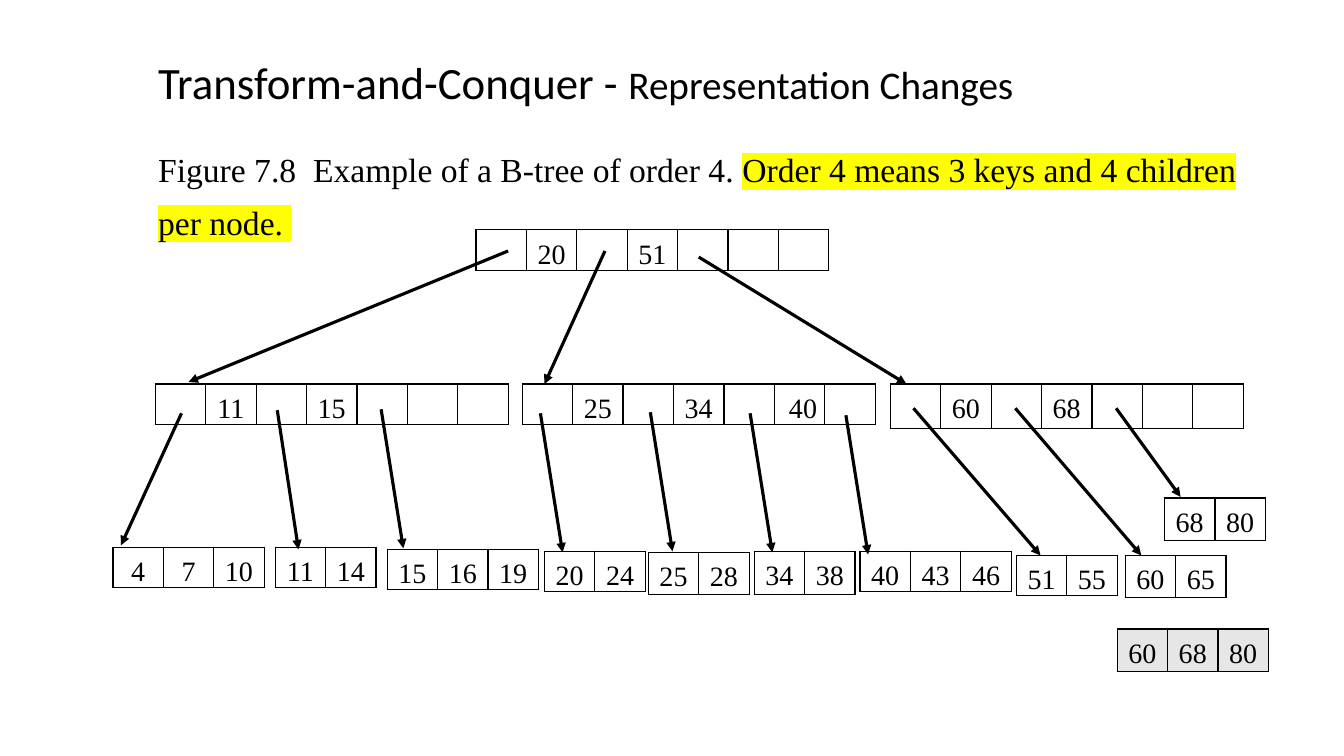
from lxml import etree
from pptx import Presentation, util as u
from pptx.dml.color import RGBColor
from pptx.enum import shapes, text
from pptx.oxml import ns

COLORS = {"ink": "000000", "paper": "FFFFFF", "grey": "E7E6E6", "mark": "FFFF00"}
COLS, ROWS = 26.66, 15

prs = Presentation()
prs.slide_width, prs.slide_height = u.Inches(13.33), u.Inches(7.5)
s = prs.slides.add_slide(prs.slide_layouts[6])
cw, rh = prs.slide_width / COLS, prs.slide_height / ROWS


def grid(x, y):
    return round(x * cw), round(y * rh)


def add_run(p, words, font, size, mark=None):
    r = p.add_run()
    r.text = words
    for name, value in {"name": font, "size": u.Pt(size), "bold": False}.items():
        setattr(r.font, name, value)
    r.font.color.rgb = RGBColor.from_string(COLORS["ink"])
    if mark:
        hl = etree.Element(ns.qn("a:highlight"))
        etree.SubElement(hl, ns.qn("a:srgbClr"), val=COLORS[mark])
        r.font._element.find(ns.qn("a:solidFill")).addnext(hl)


inner = [
    (9.44, 4.56, 0.78, ["20", "51", ""]),
    (3.08, 7.62, 0.78, ["11", "15", ""]),
    (10.36, 7.62, 0.78, ["25", "34", " 40"]),
    (17.66, 7.62, 0.88, ["60", "68", ""]),
]
leaves = [
    (2.24, 10.86, 0.78, ["4", "7", "10"]),
    (5.46, 10.86, 0.78, ["11", "14"]),
    (7.68, 10.9, 0.78, ["15", "16", "19"]),
    (10.8, 10.94, 0.78, ["20", "24"]),
    (12.86, 10.96, 0.84, ["25", "28"]),
    (14.96, 10.94, 0.86, ["34", "38"]),
    (17.06, 10.94, 0.78, ["40", "43", "46"]),
    (20.16, 11.02, 0.78, ["51", "55"]),
    (22.32, 11.02, 0.84, ["60", "65"]),
    (23.1, 9.88, 0.84, ["68", "80"]),
]
overflow = (22.16, 12.48, 0.84, ["60", "68", "80"])

nodes = [(x, y, h, [""] + [slot for key in keys for slot in (key, "")], "paper")
         for x, y, h, keys in inner]
nodes += [(*leaf, "paper") for leaf in leaves] + [(*overflow, "grey")]

cell_format = {"margin_left": u.Inches(0.07), "margin_right": u.Inches(0.07),
               "margin_top": 0, "margin_bottom": 0}

for x, y, h, slots, fill in nodes:
    tbl = s.shapes.add_table(1, len(slots), *grid(x, y), *grid(len(slots), h)).table
    tbl.first_row = tbl.horz_banding = False
    for cell, slot in zip(tbl.iter_cells(), slots):
        for name, value in cell_format.items():
            setattr(cell, name, value)
        tcPr = cell._tc.get_or_add_tcPr()
        for side in ("lnL", "lnR", "lnT", "lnB"):
            ln = etree.SubElement(tcPr, ns.qn(f"a:{side}"), w=str(u.Pt(1)))
            ink = etree.SubElement(ln, ns.qn("a:solidFill"))
            etree.SubElement(ink, ns.qn("a:srgbClr"), val=COLORS["ink"])
        cell.fill.solid()
        cell.fill.fore_color.rgb = RGBColor.from_string(COLORS[fill])
        if slot:
            p = cell.text_frame.paragraphs[0]
            p.alignment, p.line_spacing = text.PP_ALIGN.CENTER, 1.3
            add_run(p, slot, "Times New Roman", 20)

arrows = [
    (10.08, 4.98, 3.74, 7.58), (12, 4.98, 10.8, 7.62), (13.86, 5.1, 17.98, 7.62),
    (3.6, 8.2, 2.4, 10.82), (5.5, 8.14, 5.92, 10.9), (7.56, 8.12, 8, 10.88),
    (10.72, 8.2, 11.16, 10.96), (12.9, 8.18, 13.34, 10.94),
    (14.88, 8.2, 15.32, 10.96), (16.78, 8.24, 17.22, 11),
    (18.12, 8.1, 20.64, 11.02), (20.14, 8.1, 22.64, 11.02), (22.14, 8.1, 23.42, 9.86),
]
for x1, y1, x2, y2 in arrows:
    sp = s.shapes.add_connector(shapes.MSO_CONNECTOR.STRAIGHT, *grid(x1, y1), *grid(x2, y2))
    sp.line.width = u.Pt(2.25)
    sp.line.color.rgb = RGBColor.from_string(COLORS["ink"])
    etree.SubElement(sp.line._get_or_add_ln(), ns.qn("a:tailEnd"), type="triangle")
    etree.SubElement(sp._element.spPr, ns.qn("a:effectLst"))

captions = [
    (2.94, 2.62, 21.94, 2.2, 1.3, "Times New Roman", [
        ("Figure 7.8  Example of a B-tree of order 4. ", 24, None),
        ("Order 4 means 3 keys and 4 children per node. ", 24, "mark")]),
    (2.94, 0.98, 17.96, 1.28, 1.0, "Calibri", [
        ("Transform-and-Conquer - ", 32, None),
        ("Representation Changes", 28, None)]),
]
for x, y, w, h, spacing, font, runs in captions:
    tf = s.shapes.add_textbox(*grid(x, y), *grid(w, h)).text_frame
    tf.word_wrap = True
    p = tf.paragraphs[0]
    p.line_spacing = spacing
    for words, size, mark in runs:
        add_run(p, words, font, size, mark)

prs.save("out.pptx")
